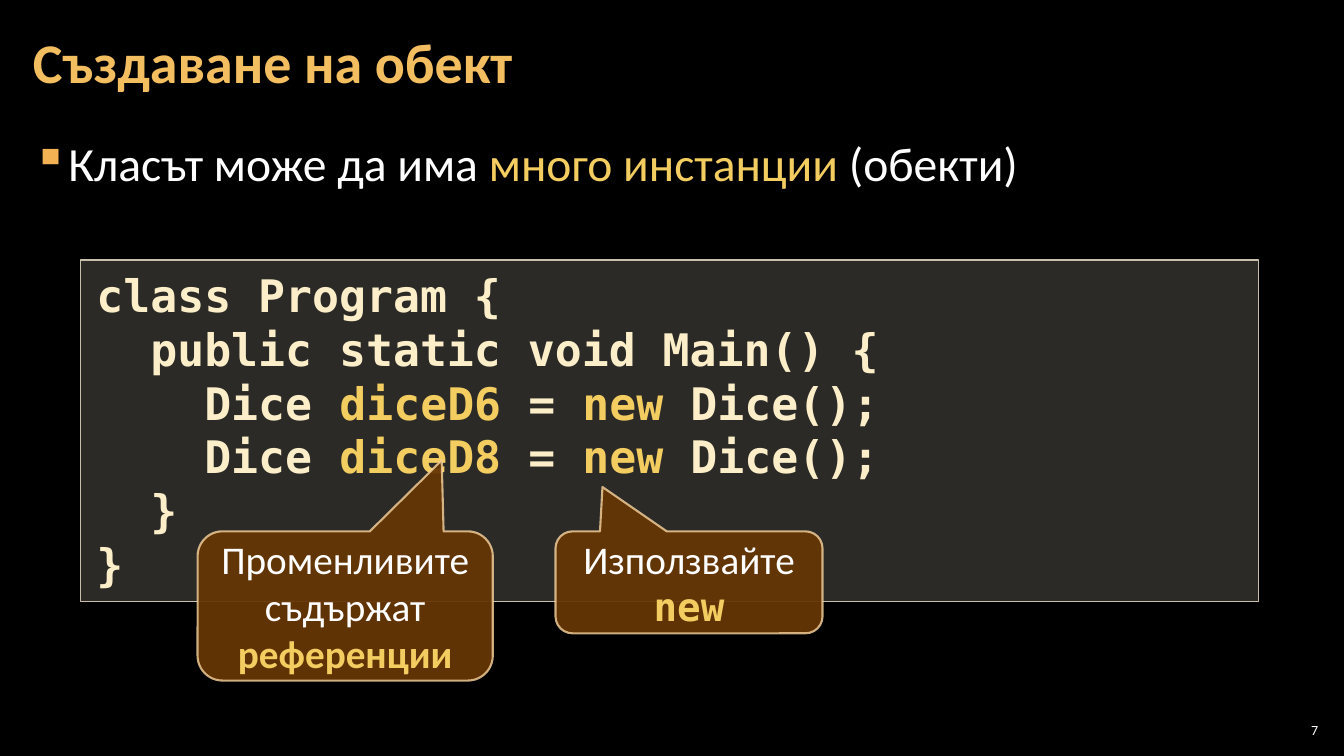
from lxml import etree
from pptx import Presentation, util as u
from pptx.dml.color import RGBColor
from pptx.enum import shapes, text
from pptx.oxml.ns import qn

COLORS = {
    "background": "000000", "title": "F3BE60", "white": "FFFFFF",
    "accent": "F3CD60", "bullet": "F2B254", "code": "FBEEC9",
    "code_fill": "D9D5C7", "code_line": "C7BFAC",
    "callout_fill": "663606", "callout_line": "F8D49E",
}
SANS, MONO = "Calibri", "DejaVu Sans Mono"
MIDDLE = text.MSO_ANCHOR.MIDDLE


def write(tf, lines, size, margins=(0.3, 0.1), anchor=text.MSO_ANCHOR.TOP,
          align=text.PP_ALIGN.LEFT):
    """Fill a frame with lines of (text, colour, bold, font) runs."""
    tf.word_wrap = True
    tf.auto_size = text.MSO_AUTO_SIZE.NONE
    tf.vertical_anchor = anchor
    tf.margin_left = tf.margin_right = u.Cm(margins[0])
    tf.margin_top = tf.margin_bottom = u.Cm(margins[1])
    for i, runs in enumerate(lines):
        p = tf.add_paragraph() if i else tf.paragraphs[0]
        p.alignment = align
        for content, color, bold, font in runs:
            r = p.add_run()
            r.text = content
            r.font.size, r.font.bold, r.font.name = u.Pt(size), bold, font
            r.font.color.rgb = RGBColor.from_string(COLORS[color])


def paint(sp, fill, line, width, alphas):
    """Set fill and line; alphas are the opacities of both in percent."""
    sp.shadow.inherit = False
    sp.fill.solid()
    sp.fill.fore_color.rgb = RGBColor.from_string(COLORS[fill])
    sp.line.color.rgb = RGBColor.from_string(COLORS[line])
    sp.line.width = u.Pt(width)
    for clr, alpha in zip(sp._element.spPr.iter(qn("a:srgbClr")), alphas):
        etree.SubElement(clr, qn("a:alpha"), val=str(alpha * 1000))


prs = Presentation()
prs.slide_width, prs.slide_height = u.Cm(33.87), u.Cm(19.05)
s = prs.slides.add_slide(prs.slide_layouts[5])
s.background.fill.solid()
s.background.fill.fore_color.rgb = RGBColor.from_string(COLORS["background"])

# Title
title = s.shapes.title
title.left, title.top = u.Cm(0.53), u.Cm(0.1)
title.width, title.height = u.Cm(32.79), u.Cm(3.07)
write(title.text_frame, [[("Създаване на обект", "title", True, SANS)]], 40,
      anchor=MIDDLE)
title.text_frame.paragraphs[0].line_spacing = 0.9

# Bullet
body = s.shapes.add_textbox(u.Cm(0.53), u.Cm(3.2), u.Cm(32.79), u.Cm(15.47))
write(body.text_frame, [[("Класът може да има ", "white", False, SANS),
                         ("много инстанции", "accent", False, SANS),
                         (" (обекти)", "white", False, SANS)]], 34)
p = body.text_frame.paragraphs[0]
pPr = p._p.get_or_add_pPr()
pPr.set("marL", str(u.Cm(0.84)))
pPr.set("indent", str(-u.Cm(0.84)))
buClr = etree.SubElement(pPr, qn("a:buClr"))
etree.SubElement(buClr, qn("a:srgbClr"), val=COLORS["bullet"])
etree.SubElement(pPr, qn("a:buChar"), char="▪")
p.line_spacing = 1.05
p.space_after = u.Pt(6)

# Code
code = s.shapes.add_shape(shapes.MSO_SHAPE.RECTANGLE,
                          u.Cm(2.03), u.Cm(6.55), u.Cm(29.69), u.Cm(8.61))
paint(code, "code_fill", "code_line", 1, (20, 100))
lines = [[("class Program {", "code", True, MONO)],
         [("  public static void Main() {", "code", True, MONO)]]
for variable in ("diceD6", "diceD8"):
    lines.append([("    Dice ", "code", True, MONO),
                  (variable, "accent", True, MONO),
                  (" = ", "code", True, MONO),
                  ("new", "accent", True, MONO),
                  (" Dice();", "code", True, MONO)])
lines += [[("  }", "code", True, MONO)], [("}", "code", True, MONO)]]
write(code.text_frame, lines, 32, (0.4, 0.2))

# Callouts: left, width, height, pointer, text, key word, its font
callouts = [
    (14, 6.73, 2.57, (-0.324, -0.935), "Използвайте ", "new", MONO),
    (4.98, 7.44, 3.76, (0.327, -0.976), "Променливите съдържат ",
     "референции", SANS),
]
for left, width, height, pointer, label, key, font in callouts:
    sp = s.shapes.add_shape(shapes.MSO_SHAPE.ROUNDED_RECTANGULAR_CALLOUT,
                            u.Cm(left), u.Cm(13.39), u.Cm(width), u.Cm(height))
    for i, value in enumerate((*pointer, 0.167)):
        sp.adjustments[i] = value
    paint(sp, "callout_fill", "callout_line", 1.5, (95, 80))
    write(sp.text_frame, [[(label, "white", False, SANS),
                           (key, "accent", True, font)]], 28, (0.25, 0.13),
          MIDDLE, text.PP_ALIGN.CENTER)

# Slide number
number = s.shapes.add_textbox(u.Cm(32.13), u.Cm(18.14), u.Cm(1.19), u.Cm(0.53))
write(number.text_frame, [[("7", "white", False, SANS)]], 10, (0.1, 0.1),
      MIDDLE, text.PP_ALIGN.RIGHT)

prs.save("out.pptx")
